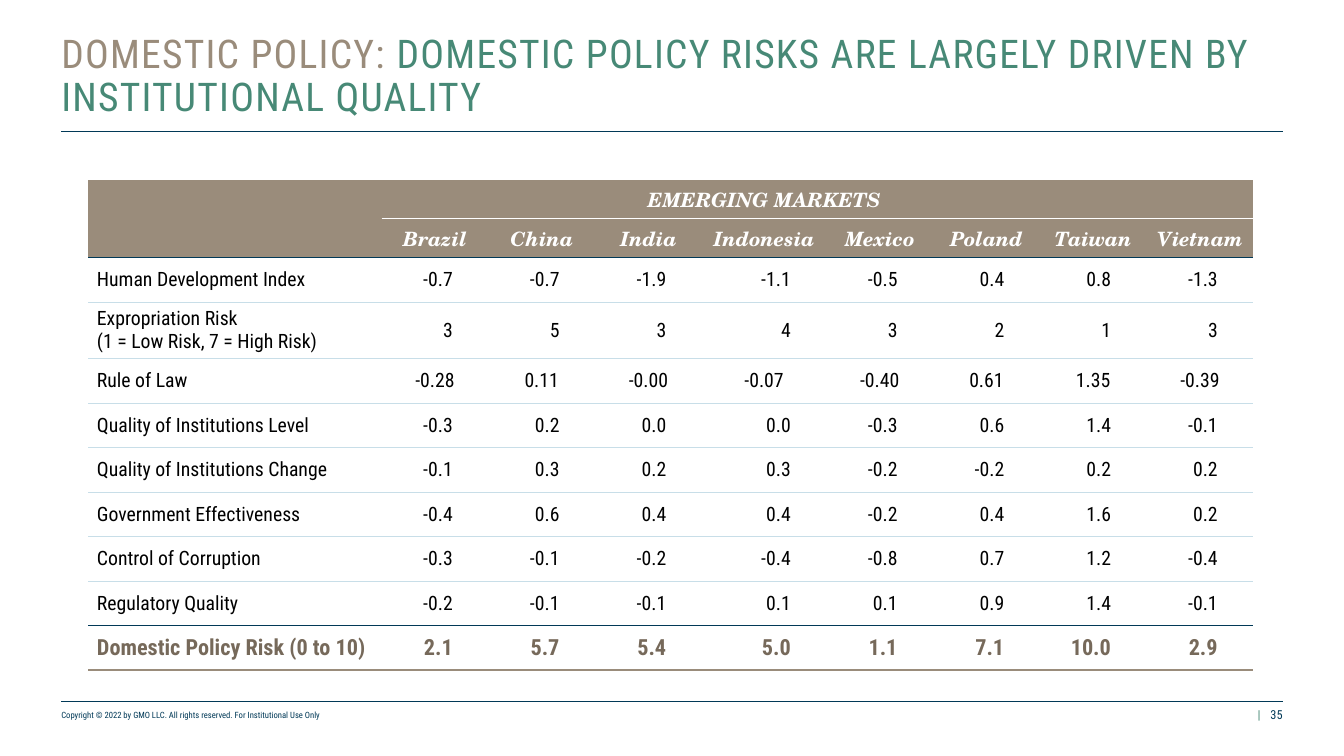
"""Build the domestic policy risk slide with its emerging markets table."""
from lxml import etree
from pptx import Presentation
from pptx import util as u
from pptx.dml.color import RGBColor
from pptx.enum import shapes, text
from pptx.oxml.ns import qn

TAUPE = RGBColor(0x9A, 0x8C, 0x7B)
BROWN = RGBColor(0x76, 0x69, 0x5A)
GREEN = RGBColor(0x47, 0x89, 0x76)
NAVY = RGBColor(0x01, 0x39, 0x57)
PALE = RGBColor(0xC8, 0xDE, 0xE8)
WHITE = RGBColor(0xFF, 0xFF, 0xFF)
BLACK = RGBColor(0, 0, 0)
SANS, SERIF = "Roboto Condensed", "TeX Gyre Schola"
PLAIN_STYLE = "{2D5ABB26-0587-4C30-8999-92F81FD0307C}"
LEFT, CENTER, RIGHT = text.PP_ALIGN.LEFT, text.PP_ALIGN.CENTER, text.PP_ALIGN.RIGHT
BOTTOM, MIDDLE = text.MSO_ANCHOR.BOTTOM, text.MSO_ANCHOR.MIDDLE

TITLE = [("DOMESTIC POLICY: ", TAUPE),
         ("DOMESTIC POLICY RISKS ARE LARGELY DRIVEN BY INSTITUTIONAL QUALITY", GREEN)]
COPYRIGHT = "Copyright © 2022 by GMO LLC. All rights reserved. For Institutional Use Only"
PAGE = "35"
GROUP = "EMERGING MARKETS"
COUNTRIES = ["Brazil", "China", "India", "Indonesia", "Mexico", "Poland", "Taiwan", "Vietnam"]
MEASURES = [
    ("Human Development Index", "-0.7 -0.7 -1.9 -1.1 -0.5 0.4 0.8 -1.3"),
    ("Expropriation Risk\n(1 = Low Risk, 7 = High Risk)", "3 5 3 4 3 2 1 3"),
    ("Rule of Law", "-0.28 0.11 -0.00 -0.07 -0.40 0.61 1.35 -0.39"),
    ("Quality of Institutions Level", "-0.3 0.2 0.0 0.0 -0.3 0.6 1.4 -0.1"),
    ("Quality of Institutions Change", "-0.1 0.3 0.2 0.3 -0.2 -0.2 0.2 0.2"),
    ("Government Effectiveness", "-0.4 0.6 0.4 0.4 -0.2 0.4 1.6 0.2"),
    ("Control of Corruption", "-0.3 -0.1 -0.2 -0.4 -0.8 0.7 1.2 -0.4"),
    ("Regulatory Quality", "-0.2 -0.1 -0.1 0.1 0.1 0.9 1.4 -0.1"),
    ("Domestic Policy Risk (0 to 10)", "2.1 5.7 5.4 5.0 1.1 7.1 10.0 2.9"),
]
EDGE_LEFT, EDGE_RIGHT = 0.69, 14.42
TABLE_LEFT, TABLE_TOP = 0.99, 2.02
WIDTHS = [3.3] + [1.4 if country == "Indonesia" else 1.2 for country in COUNTRIES]
HEIGHTS = [0.44, 0.44] + [0.62 if "\n" in label else 0.5 for label, _ in MEASURES]
RULES = [WHITE, NAVY] + [PALE] * 7 + [NAVY, TAUPE]


def write(frame, content, size=16, font=SANS, color=BLACK, bold=False, italic=False,
          align=LEFT, leading=None, tracking=None):
    """Fill a text frame with plain text or a list of (text, colour) runs."""
    lines = [[(line, color)] for line in content.split("\n")] if isinstance(content, str) else [content]
    for index, pieces in enumerate(lines):
        paragraph = frame.add_paragraph() if index else frame.paragraphs[0]
        paragraph.alignment = align
        if leading:
            paragraph.line_spacing = leading
        for words, shade in pieces:
            run = paragraph.add_run()
            run.text = words
            run.font.size, run.font.name = u.Pt(size), font
            run.font.bold, run.font.italic = bold, italic
            run.font.color.rgb = shade
            if tracking:
                run.font._element.set("spc", str(tracking * 100))


def add_label(slide, box, content, **style):
    """Add a text box without margins, its text resting on the bottom edge."""
    frame = slide.shapes.add_textbox(*map(u.Inches, box)).text_frame
    frame.word_wrap = True
    frame.vertical_anchor = BOTTOM
    frame.margin_left = frame.margin_right = frame.margin_top = frame.margin_bottom = 0
    write(frame, content, **style)


def add_rule(slide, y, width):
    """Draw a horizontal line across the slide's text area."""
    rule = slide.shapes.add_connector(shapes.MSO_CONNECTOR.STRAIGHT, u.Inches(EDGE_LEFT),
                                      u.Inches(y), u.Inches(EDGE_RIGHT), u.Inches(y))
    rule.line.color.rgb, rule.line.width = NAVY, u.Pt(width)
    etree.SubElement(rule._element.spPr, qn("a:effectLst"))


def set_borders(cell, top, bottom):
    """Give a cell its upper and lower border colours."""
    properties = cell._tc.get_or_add_tcPr()
    sides = [(tag, color) for tag, color in (("a:lnT", top), ("a:lnB", bottom)) if color]
    for position, (tag, color) in enumerate(sides):
        line = etree.Element(qn(tag), w=str(u.Pt(1)))
        fill = etree.SubElement(line, qn("a:solidFill"))
        etree.SubElement(fill, qn("a:srgbClr"), val=str(color))
        properties.insert(position, line)


def add_risk_table(slide):
    """Add the table of risk measures by country."""
    rows = [["", GROUP] + [""] * 7, [""] + COUNTRIES]
    rows += [[label] + values.split() for label, values in MEASURES]
    table = slide.shapes.add_table(
        len(rows), len(WIDTHS), u.Inches(TABLE_LEFT), u.Inches(TABLE_TOP),
        u.Inches(sum(WIDTHS)), u.Inches(sum(HEIGHTS))).table
    table.first_row = table.horz_banding = False
    table._tbl.tblPr.find(qn("a:tableStyleId")).text = PLAIN_STYLE
    for column, width in zip(table.columns, WIDTHS):
        column.width = u.Inches(width)
    for row, height in zip(table.rows, HEIGHTS):
        row.height = u.Inches(height)
    for r, row in enumerate(rows):
        header, total = r < 2, r == len(rows) - 1
        for c, content in enumerate(row):
            cell = table.cell(r, c)
            if header:
                cell.fill.solid()
                cell.fill.fore_color.rgb = TAUPE
                cell.vertical_anchor = BOTTOM
                style = dict(font=SERIF, color=WHITE, bold=True, italic=True, align=CENTER)
            else:
                cell.fill.background()
                cell.vertical_anchor = MIDDLE
                style = dict(size=18, color=BROWN, bold=True) if total else {}
                if c:
                    centred = rows[r][0] == "Rule of Law"
                    cell.margin_left = cell.margin_top = cell.margin_bottom = 0
                    cell.margin_right = u.Inches(0 if centred else 0.4)
                    style["align"] = CENTER if centred else RIGHT
            if content:
                write(cell.text_frame, content, **style)
            corner = header and c == 0
            top = RULES[r - 1] if r and not corner else None
            set_borders(cell, top, None if corner and r == 0 else RULES[r])
    table.cell(0, 1).merge(table.cell(0, 7))


def main():
    """Assemble and save the slide."""
    deck = Presentation()
    deck.slide_width, deck.slide_height = u.Inches(15.11), u.Inches(8.5)
    slide = deck.slides.add_slide(deck.slide_layouts[6])
    add_label(slide, (EDGE_LEFT, 7.95, 7.1, 0.15), COPYRIGHT, size=7, color=NAVY)
    add_label(slide, (14.1, 7.95, 0.11, 0.17), "|", size=10, color=GREEN, align=CENTER)
    add_label(slide, (11.02, 7.95, 3.4, 0.17), PAGE, size=10, color=NAVY, align=RIGHT)
    add_rule(slide, 7.88, 0.5)
    add_rule(slide, 1.48, 1)
    add_label(slide, (EDGE_LEFT, 0.5, 13.74, 0.85), TITLE, size=32, leading=0.9, tracking=1)
    add_risk_table(slide)
    deck.save("out.pptx")


if __name__ == "__main__":
    main()
